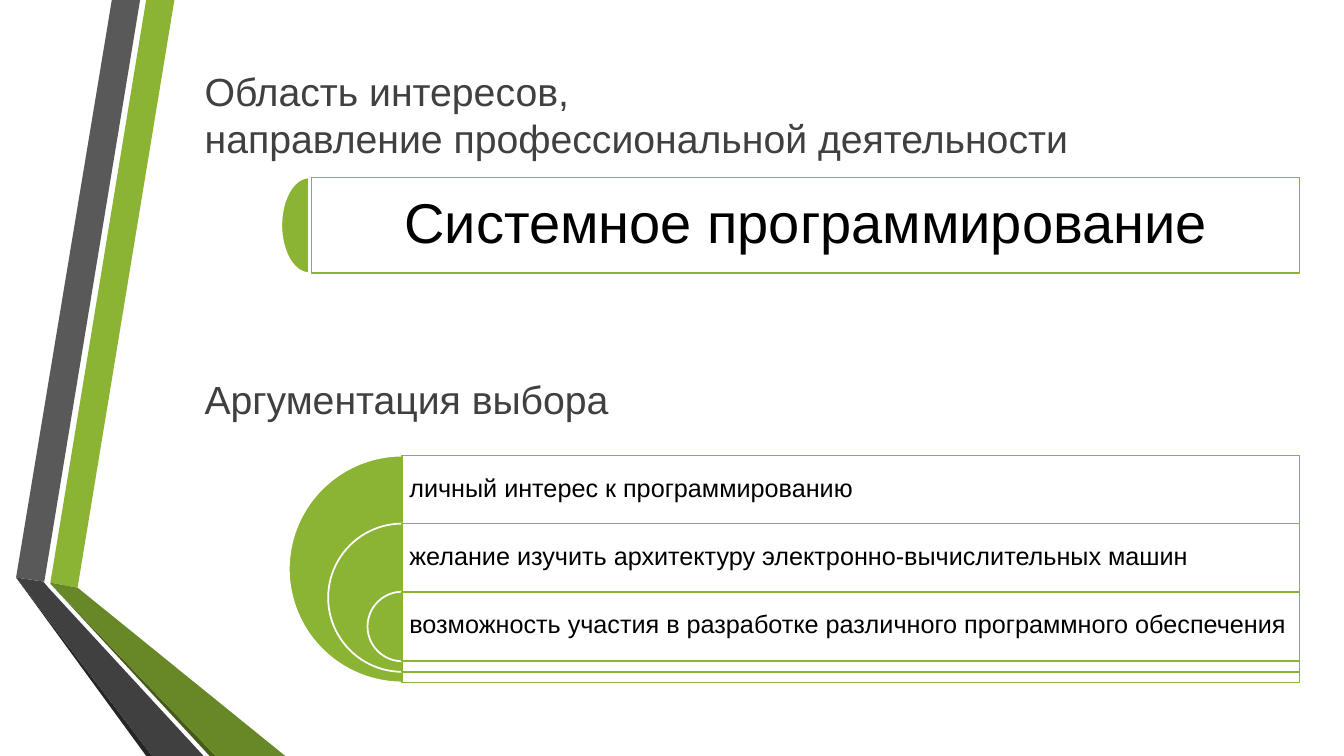
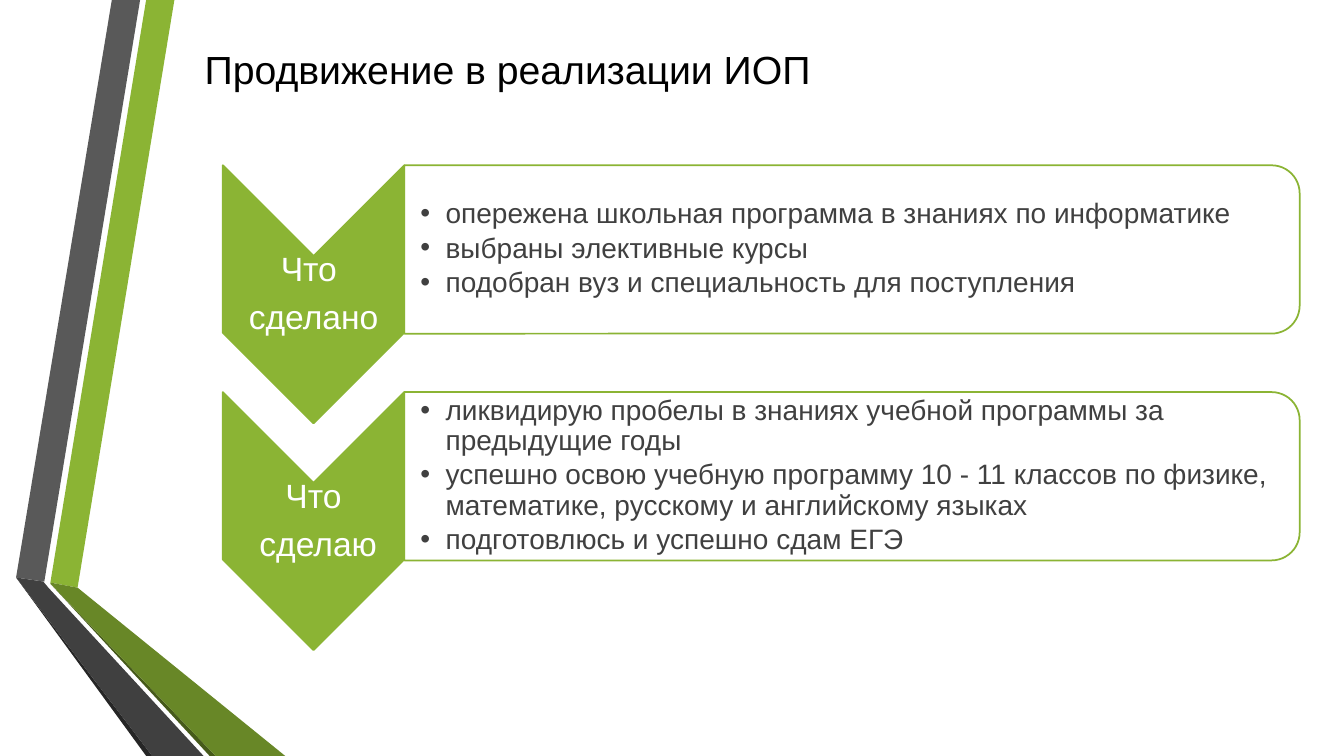
from pptx import Presentation
from pptx.dml.color import RGBColor
from pptx.enum.shapes import MSO_SHAPE
from pptx.enum.text import MSO_ANCHOR, MSO_AUTO_SIZE, PP_ALIGN
from pptx.oxml.ns import qn
from pptx.util import Inches, Pt
from lxml import etree

LEFT, MID = PP_ALIGN.LEFT, PP_ALIGN.CENTER
CENTER = MSO_ANCHOR.MIDDLE
FIXED = MSO_AUTO_SIZE.NONE
RECT, PIE = MSO_SHAPE.RECTANGLE, MSO_SHAPE.PIE
ARROW, ROUND = MSO_SHAPE.CHEVRON, MSO_SHAPE.ROUND_2_SAME_RECTANGLE

FONT = "Arial"
COLORS = {
    "green": "8BB434", "leaf": "688727", "moss": "465A1A",
    "gray": "595959", "dark": "404040", "coal": "262626",
    "white": "FFFFFF", "black": "000000",
}
BANDS = [
    ("green", [(50, 578), (77, 583), (173, 0), (145, 0)]),
    ("gray", [(139, 0), (111, 0), (16, 573), (44, 577)]),
    ("coal", [(16, 573), (145, 750), (151, 750)]),
    ("moss", [(50, 579), (208, 750), (214, 750)]),
    ("leaf", [(50, 579), (214, 750), (283, 750), (77, 583), (50, 578)]),
    ("dark", [(202, 750), (48, 583), (43, 577), (16, 573), (151, 750)]),
]
REASONS = [
    "личный интерес к программированию",
    "желание изучить архитектуру электронно-вычислительных машин",
    "возможность участия в разработке различного программного обеспечения",
]
STAGES = [
    (["Что ", "сделано"], [
        "опережена школьная программа в знаниях по информатике",
        "выбраны элективные курсы",
        "подобран вуз и специальность для поступления",
    ]),
    (["Что", " сделаю"], [
        "ликвидирую пробелы в знаниях учебной программы за предыдущие годы",
        "успешно освою учебную программу 10 - 11 классов по физике, "
        "математике, русскому и английскому языках",
        "подготовлюсь и успешно сдам ЕГЭ",
    ]),
]


def color(name):
    return RGBColor.from_string(COLORS[name])


def place(shape, box):
    shape.left, shape.top, shape.width, shape.height = map(Inches, box)


def paint(shape, fill, line=None, alpha=None):
    shape.shadow.inherit = False
    shape.fill.solid()
    shape.fill.fore_color.rgb = color(fill)
    if alpha:
        tint = shape.fill._xPr.find(qn("a:solidFill"))[0]
        etree.SubElement(tint, qn("a:alpha")).set("val", str(alpha * 1000))
    if line:
        shape.line.color.rgb = color(line)
        shape.line.width = Pt(1.25)
    else:
        shape.line.fill.background()


def write(shape, lines, size, ink, align=LEFT, pads=(0.1, 0.05, 0.1, 0.05),
          lead=1.0, after=0):
    frame = shape.text_frame
    frame.word_wrap = True
    frame.auto_size = FIXED
    frame.vertical_anchor = CENTER
    (frame.margin_left, frame.margin_top,
     frame.margin_right, frame.margin_bottom) = map(Inches, pads)
    frame.text = "\n".join(lines)
    for para in frame.paragraphs:
        para.alignment = align
        para.line_spacing = lead
        para.space_before = Pt(0)
        para.space_after = Pt(size * after)
        for run in para.runs:
            run.font.name = FONT
            run.font.size = Pt(size)
            run.font.color.rgb = color(ink)


def label(slide, box, *args, **style):
    shape = slide.shapes.add_textbox(*map(Inches, box))
    write(shape, *args, **style)


def draw(slide, kind, box, fill, line, alpha=None, turn=False):
    x, y, w, h = box
    if turn:
        x, y, w, h = x + (w - h) / 2, y + (h - w) / 2, h, w
    shape = slide.shapes.add_shape(kind, *map(Inches, (x, y, w, h)))
    shape.rotation = 90 if turn else 0
    paint(shape, fill, line, alpha)
    return shape


def half(slide, box):
    pie = draw(slide, PIE, box, "green", "white")
    pie.adjustments[0] = 54
    pie.adjustments[1] = 162


def panel(slide, box):
    draw(slide, RECT, box, "white", "green", 90)


def head(slide, height, text, ink):
    title = slide.shapes.title
    place(title, (1.93, 0.1, 10.96, height))
    write(title, [text], 28, ink)


def ribbon(deck, slide):
    base = deck.slide_master.placeholders[0].element
    for fill, points in BANDS:
        path = slide.shapes.build_freeform(*points[0], scale=Inches(0.01))
        path.add_line_segments(points[1:], close=True)
        shape = path.convert_to_shape()
        paint(shape, fill)
        base.addprevious(shape.element)


def field(slide, box):
    x, y, w, h = box
    half(slide, (x - 0.3, y, 0.55, h))
    panel(slide, box)
    label(slide, box, ["Системное программирование"], 40, "black", MID,
          (0.17,) * 4, 0.9, 0.35)


def nest(slide, box):
    x, y, w, size = box
    step = size * 0.3
    for i, text in enumerate(REASONS):
        top, high = y + i * step, size - i * 0.78
        half(slide, (x - high / 2, top, high, high))
        panel(slide, (x, top, w, high))
        label(slide, (x, top, w, step), [text], 18, "black",
              pads=(0.07,) * 4, lead=0.9, after=0.35)


def stage(slide, box, body, name, items):
    x, y, w, h = box
    wide = 1.8
    draw(slide, ARROW, (x, y, wide, 2.56), "green", "green", turn=True)
    label(slide, (x, y + 0.9, wide, 0.77), name, 24, "white", MID,
          (0.02,) * 4, 0.9, 0.35)
    card = draw(slide, ROUND, (x + wide, y, w - wide, h), "white", "green",
                90, True)
    place(body, (x + wide, y + 0.08, w - wide - 0.08, h - 0.17))
    write(body, items, 20, "dark", pads=(0.16, 0.01, 0.01, 0.01),
          lead=0.9, after=0.15)
    for para in body.text_frame.paragraphs:
        props = para._p.get_or_add_pPr()
        props.set("marL", str(Inches(0.25)))
        props.set("indent", str(Inches(-0.25)))
    card.element.addnext(body.element)


def choice(slide):
    head(slide, 2.07,
         "Область интересов, \vнаправление профессиональной деятельности",
         "dark")
    field(slide, (3.09, 1.76, 9.8, 0.95))
    label(slide, (1.93, 3.56, 4.25, 0.8), ["Аргументация выбора"], 28, "dark")
    nest(slide, (3.99, 4.52, 8.9, 2.25))


def progress(slide):
    head(slide, 1.17, "Продвижение в реализации ИОП", "black")
    for i, (name, items) in enumerate(STAGES):
        stage(slide, (2.21, 1.64 + i * 2.25, 10.68, 1.67),
              slide.placeholders[i + 1], name, items)


def main():
    deck = Presentation()
    deck.slide_width, deck.slide_height = Inches(13.33), Inches(7.5)
    first = deck.slides.add_slide(deck.slide_layouts[5])
    ribbon(deck, first)
    choice(first)
    progress(deck.slides.add_slide(deck.slide_layouts[3]))
    deck.save("out.pptx")


if __name__ == "__main__":
    main()
